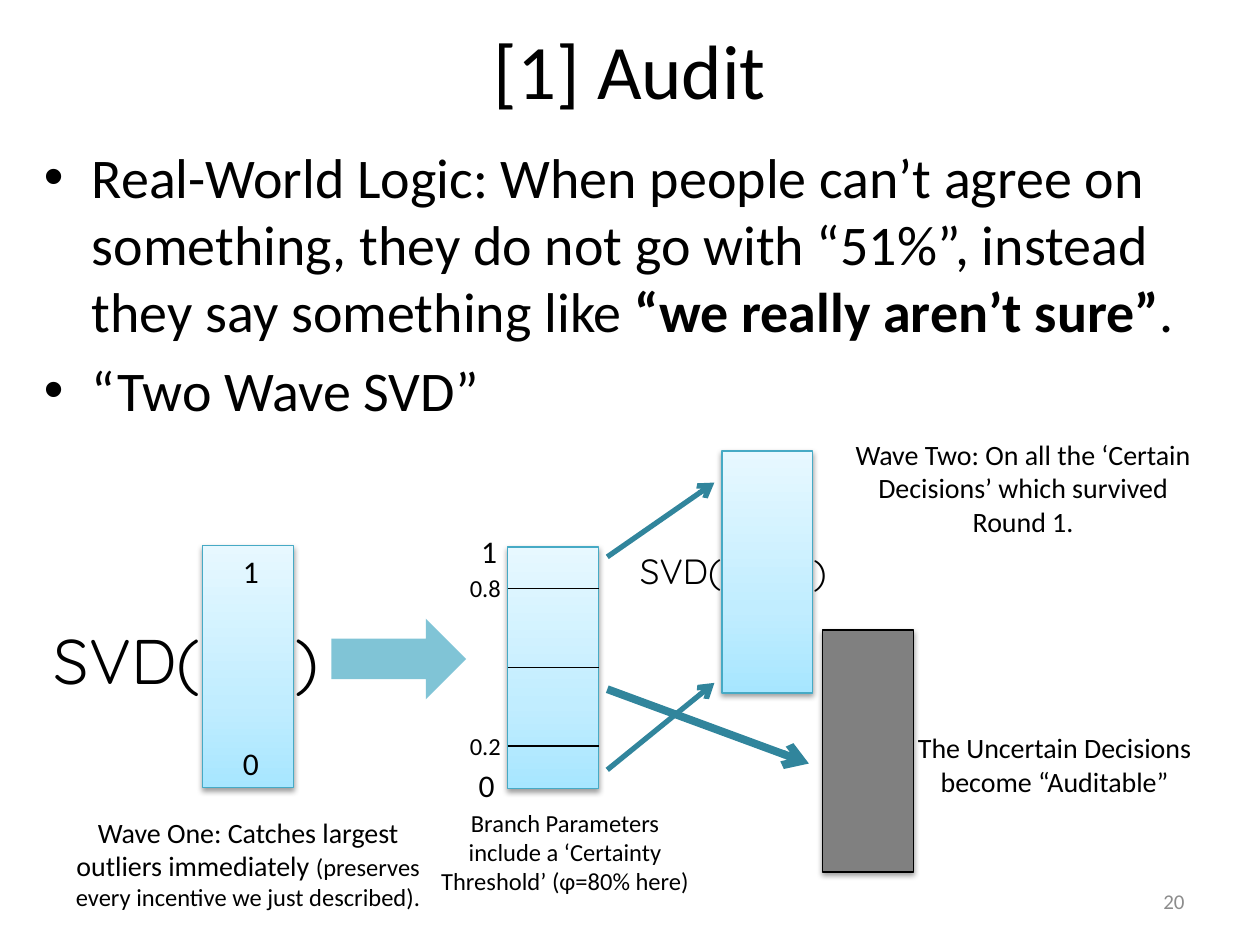
import dataclasses

import lxml.etree
import pptx
import pptx.dml.color
import pptx.enum.shapes
import pptx.enum.text
import pptx.oxml
import pptx.oxml.ns
import pptx.util

Align = pptx.enum.text.PP_ALIGN
Anchor = pptx.enum.text.MSO_ANCHOR
Shape = pptx.enum.shapes.MSO_SHAPE
Line = pptx.enum.shapes.MSO_CONNECTOR
qn = pptx.oxml.ns.qn


@dataclasses.dataclass(frozen=True)
class Theme:
    ink: str = "000000"
    mute: str = "8C8C8C"
    gray: str = "808080"
    edge: str = "46AAC5"
    teal: str = "31859C"
    block: str = "4BACC6"
    fade: tuple = ((0, "A7E6FF"), (35, "C1EDFF"), (100, "E7F8FF"))
    font: str = "Calibri"
    math: str = "Quicksand"
    title: int = 44
    body: int = 32
    large: int = 36
    mid: int = 20
    mark: int = 18
    label: int = 16
    small: int = 14
    foot: int = 12


def color(code):
    return pptx.dml.color.RGBColor.from_string(code)


def child(node, tag, **attrs):
    return lxml.etree.SubElement(node, qn(tag), {k: str(v) for k, v in attrs.items()})


def write(frame, text, size=18, font="Calibri", ink="000000", align=Align.LEFT, bullet=False):
    paras = text if isinstance(text, list) else [[(text, {})]]
    for i, runs in enumerate(paras):
        para = frame.add_paragraph() if i else frame.paragraphs[0]
        para.alignment = align
        if i:
            para.space_before = pptx.util.Pt(size * 0.2)
        if bullet:
            props = para._p.get_or_add_pPr()
            indent = pptx.util.Inches(0.38)
            props.set("marL", str(indent))
            props.set("indent", str(-indent))
            child(props, "a:buFont", typeface="Arial")
            child(props, "a:buChar", char="•")
        for words, style in runs:
            run = para.add_run()
            run.text = words
            run.font.name = font
            run.font.size = pptx.util.Pt(style.get("size", size))
            run.font.bold = style.get("bold", False)
            run.font.color.rgb = color(ink)


class Deck:
    """Draws styled parts on a slide grid of 100 columns by 75 rows."""

    def __init__(self, theme):
        self.theme = theme
        self.file = pptx.Presentation()
        self.file.slide_width = pptx.util.Inches(10)
        self.file.slide_height = pptx.util.Inches(7.5)
        self.slide = self.file.slides.add_slide(self.file.slide_layouts[6])

    def place(self, *spots):
        return [int(self.file.slide_width * spot / 100) for spot in spots]

    def text(self, box, text, wrap=True, anchor=Anchor.TOP, **style):
        frame = self.slide.shapes.add_textbox(*self.place(*box)).text_frame
        frame.word_wrap = wrap
        frame.vertical_anchor = anchor
        write(frame, text, **style)

    def note(self, box, text, size):
        self.text(box, text, size=size, align=Align.CENTER)

    def mark(self, box, text, size, font="Calibri"):
        self.text(box, text, wrap=False, size=size, font=font)

    def shape(self, kind, box, fill):
        shape = self.slide.shapes.add_shape(kind, *self.place(*box))
        shape.shadow.inherit = False
        shape.fill.solid()
        shape.fill.fore_color.rgb = color(fill)
        return shape

    def bar(self, left, top, fill=None, edge=None):
        theme = self.theme
        shape = self.shape(Shape.RECTANGLE, (left, top, 7.2, 19.2), fill or theme.gray)
        shape.line.color.rgb = color(edge or theme.edge)
        shape.line.width = pptx.util.Pt(0.75)
        props = shape._element.spPr
        if not fill:
            grad = lxml.etree.Element(qn("a:gradFill"), rotWithShape="1")
            stops = child(grad, "a:gsLst")
            for spot, code in theme.fade:
                stop = child(stops, "a:gs", pos=spot * 1000)
                child(stop, "a:srgbClr", val=code)
            child(grad, "a:lin", ang=270 * 60000, scaled=0)
            props.replace(props.find(qn("a:solidFill")), grad)
        shade = child(props.find(qn("a:effectLst")), "a:outerShdw", blurRad=40000,
                      dist=20000, dir=90 * 60000, rotWithShape=0)
        tint = child(shade, "a:srgbClr", val=theme.ink)
        child(tint, "a:alpha", val=38000)

    def block(self, box):
        shape = self.shape(Shape.RIGHT_ARROW, box, self.theme.block)
        shape.line.fill.background()
        tint = shape._element.spPr.find(qn("a:solidFill"))[0]
        child(tint, "a:alpha", val=70000)

    def line(self, start, end, ink, width, head=False):
        line = self.slide.shapes.add_connector(Line.STRAIGHT, *self.place(*start, *end))
        line.line.color.rgb = color(ink)
        line.line.width = pptx.util.Pt(width)
        props = line._element.spPr
        if head:
            child(props.find(qn("a:ln")), "a:tailEnd", type="arrow")
        child(props, "a:effectLst")


def main():
    theme = Theme()
    deck = Deck(theme)
    deck.bar(65.3, 50, theme.gray, theme.ink)
    deck.text((5, -0.8, 90, 12.5), "[1] Audit", size=theme.title,
              align=Align.CENTER, anchor=Anchor.MIDDLE)
    deck.text((2.5, 10.8, 94.2, 30.8), [
        [("Real-World Logic: When people can’t agree on something, they do not go "
          "with “51%”, instead they say something like ", {}),
         ("“we really aren’t sure”", {"bold": True}), (".", {})],
        [("“Two Wave SVD”", {})],
    ], size=theme.body, bullet=True)
    deck.text((71.7, 69.5, 23.3, 4), "20", size=theme.foot, ink=theme.mute,
              align=Align.RIGHT, anchor=Anchor.MIDDLE)

    deck.bar(16.1, 43.3)
    deck.note((4.3, 64.2, 30.8, 8.8), [[
        ("Wave One: Catches largest outliers immediately ", {}),
        ("(preserves every incentive we just described).", {"size": theme.small}),
    ]], theme.label)
    deck.mark((3.3, 48.8, 13.7, 7.1), "SVD(", theme.large, theme.math)
    deck.mark((22.5, 48.8, 3.9, 7.1), ")", theme.large, theme.math)

    deck.bar(40.3, 43.4)
    for left, top, digit in ((18.3, 43.3, "1"), (18.3, 58.6, "0"),
                             (37.2, 41.7, "1"), (37, 60.3, "0")):
        deck.mark((left, top, 3.3, 4), digit, theme.mark)
    for row in (46.7, 53, 59.2):
        deck.line((40.3, row), (47.5, row), theme.ink, 0.75)
    for top, value in ((45, "0.8"), (57.5, "0.2")):
        deck.mark((36.3, top, 4.5, 3.4), value, theme.small)

    deck.bar(57.3, 35.8)
    for start, end, width in ((44.2, (56.7, 38.3), 3), (61.1, (56.7, 54.2), 3),
                              (54.7, (64.2, 60.6), 4.5)):
        deck.line((48.2, start), end, theme.teal, width, head=True)
    deck.mark((49.8, 43.1, 8.5, 4.4), "SVD(", theme.mid, theme.math)
    deck.mark((63.6, 43.2, 3.1, 4.4), ")", theme.mid, theme.math)
    deck.block((26.3, 49.1, 10.7, 6.4))

    deck.note((65.8, 34.2, 30.8, 9.1),
              "Wave Two: On all the ‘Certain Decisions’ which survived Round 1.", theme.label)
    deck.note((68.3, 57.5, 30.8, 6.4),
              "The Uncertain Decisions become “Auditable”", theme.label)
    deck.note((33.8, 63.6, 22.1, 8.1),
              "Branch Parameters include a ‘Certainty Threshold’ (φ=80% here)", theme.small)
    deck.file.save("out.pptx")


if __name__ == "__main__":
    main()
